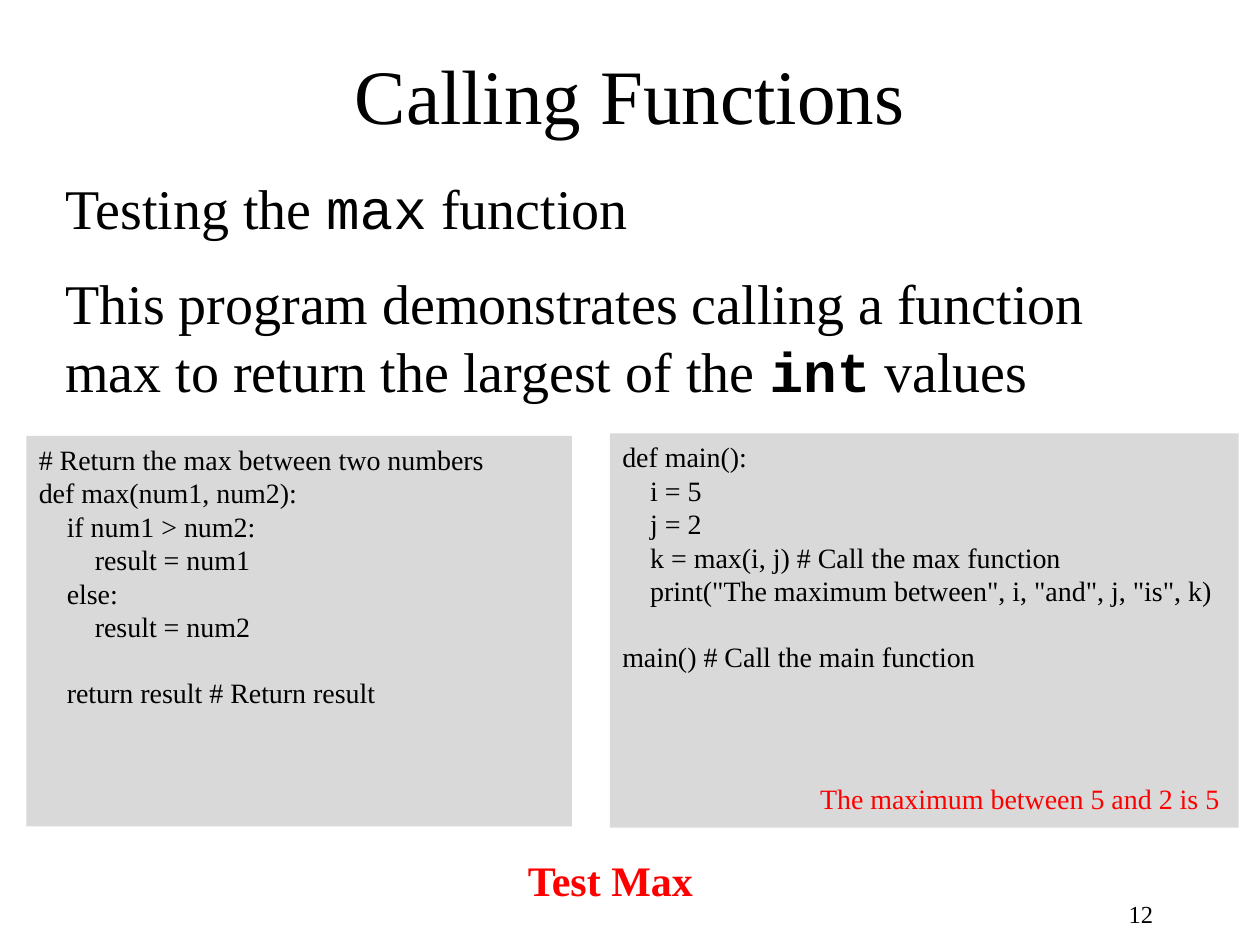
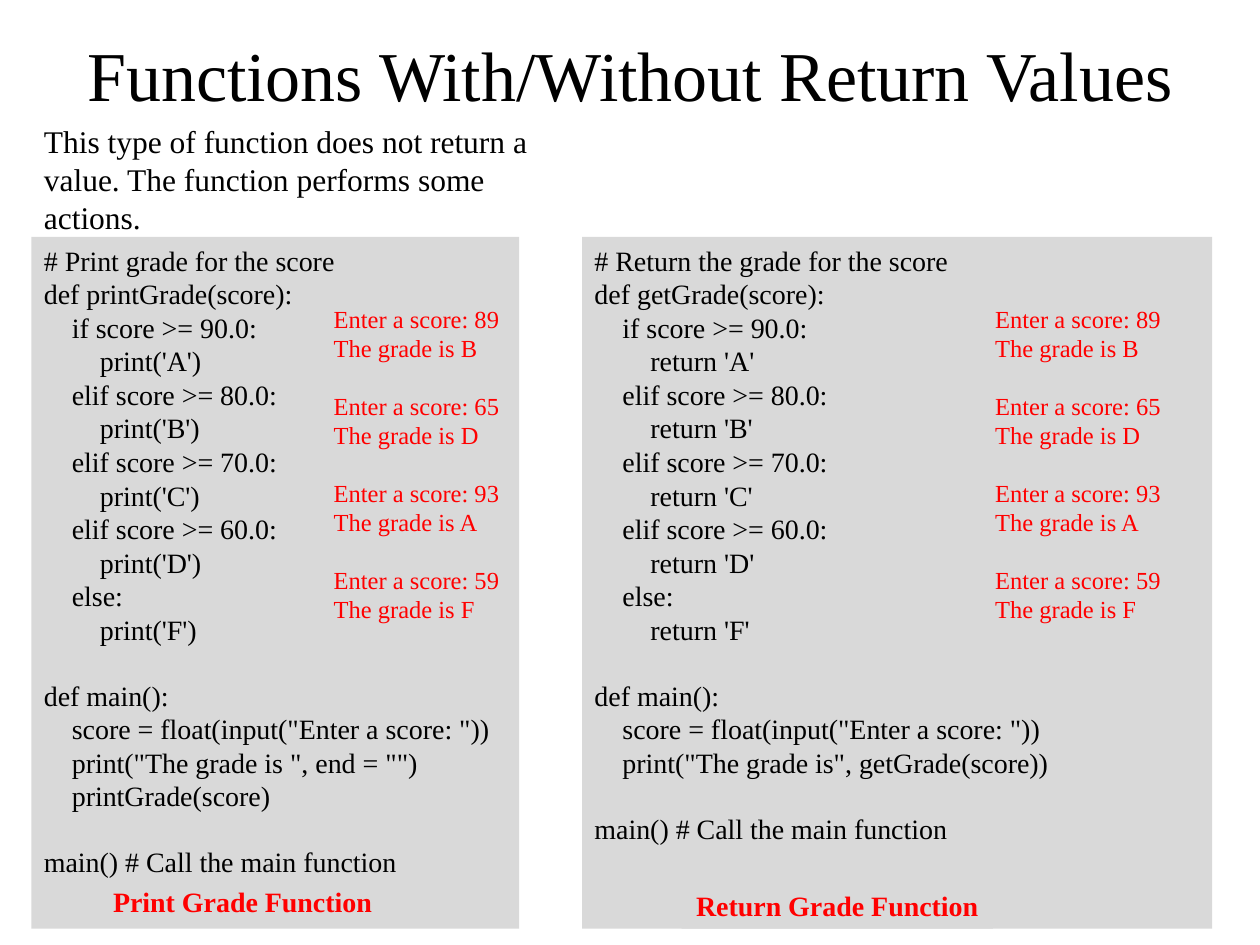
from pptx import Presentation
from pptx.dml.color import RGBColor
from pptx.enum import shapes, text
from pptx.util import Inches, Pt

FONT, MONO = "Times New Roman", "Courier New"
BLACK, RED, GREY = "000000", "FF0000", "D9D9D9"
LEFT, MID, RIGHT = text.PP_ALIGN.LEFT, text.PP_ALIGN.CENTER, text.PP_ALIGN.RIGHT
LINE = 1.15  # line height relative to the text size

MAX = """# Return the max between two numbers
def max(num1, num2):
    if num1 > num2:
        result = num1
    else:
        result = num2

    return result # Return result"""

TEST = """def main():
    i = 5
    j = 2
    k = max(i, j) # Call the max function
    print("The maximum between", i, "and", j, "is", k)

main() # Call the main function"""

# Both grade programs share this frame
GRADE = """# {about}
def {name}(score):
    if score >= 90.0:
        {A}
    elif score >= 80.0:
        {B}
    elif score >= 70.0:
        {C}
    elif score >= 60.0:
        {D}
    else:
        {F}

def main():
    score = float(input("Enter a score: "))
    {call}

main() # Call the main function"""

SCORES = [(89, "B"), (65, "D"), (93, "A"), (59, "F")]


def paint(color):
    return RGBColor.from_string(color)


def add_run(para, words, size, color=BLACK, font=FONT, bold=False):
    run = para.add_run()
    run.text = words
    run.font.name, run.font.size, run.font.bold = font, Pt(size), bold
    run.font.color.rgb = paint(color)


def add_box(slide, at, fill=None, wrap=True):
    """Add a text area, on a plain panel if a fill is given."""
    area = [Inches(n) for n in at]
    if fill:
        box = slide.shapes.add_shape(shapes.MSO_SHAPE.RECTANGLE, *area)
        box.shadow.inherit = False
        box.fill.solid()
        box.fill.fore_color.rgb = paint(fill)
        box.line.fill.background()
    else:
        box = slide.shapes.add_textbox(*area)
    frame = box.text_frame
    frame.word_wrap = wrap
    frame.vertical_anchor = text.MSO_ANCHOR.TOP
    return frame


def add_label(slide, at, words, size, color=BLACK, align=LEFT,
              bold=False, fill=None, wrap=False):
    frame = add_box(slide, at, fill, wrap)
    para = frame.paragraphs[0]
    para.alignment = align
    add_run(para, words, size, color, bold=bold)
    return frame


def add_title(slide, at, words, size):
    frame = add_label(slide, at, words, size, align=MID, wrap=True)
    frame.vertical_anchor = text.MSO_ANCHOR.MIDDLE


def add_lines(frame, lines, size, color=BLACK):
    """Set lines; leading spaces become indents, empty lines become gaps."""
    para, gap = frame.paragraphs[0], 0
    for num, line in enumerate(lines):
        if not line:
            gap = size * LINE
            continue
        if num:
            para = frame.add_paragraph()
        code = line.lstrip()
        para.alignment = LEFT
        para.space_before = Pt(gap)
        # A space is a quarter of the text size wide
        indent = Pt((len(line) - len(code)) * size / 4)
        para._p.get_or_add_pPr().set("marL", str(indent))
        add_run(para, code, size, color)
        gap = 0


def add_code(slide, at, code):
    add_lines(add_box(slide, at, GREY), code.split("\n"), 16)


def add_scores(slide, left, width):
    lines = []
    for score, grade in SCORES:
        lines += [f"Enter a score: {score}", f"The grade is {grade}", ""]
    add_lines(add_box(slide, (left, 2.36, width, 2.69)), lines, 14, RED)


def grade_code(about, name, form, call):
    marks = {mark: form.format(mark) for mark in "ABCDF"}
    return GRADE.format(about=about, name=name, call=call, **marks)


def add_intro(slide):
    frame = add_box(slide, (0.42, 1.33, 9.08, 1.97))
    para = frame.paragraphs[0]
    add_run(para, "Testing the ", 32)
    add_run(para, "max", 32, font=MONO)
    add_run(para, " function", 32)
    para = frame.add_paragraph()
    para.space_before = Pt(16)
    add_run(para, "This program demonstrates calling a function max "
            "to return the largest of the ", 32)
    add_run(para, "int", 32, font=MONO, bold=True)
    add_run(para, " values", 32)


def calling(slide):
    page = add_label(slide, (7.17, 7, 2.08, 0.5), "12", 14, align=RIGHT, wrap=True)
    page.vertical_anchor = text.MSO_ANCHOR.MIDDLE
    add_title(slide, (0.75, 0.33, 8.5, 0.83), "Calling Functions", 44)
    add_intro(slide)
    add_code(slide, (0.21, 3.46, 4.33, 3.1), MAX)
    add_code(slide, (4.84, 3.44, 4.99, 3.13), TEST)
    add_label(slide, (4.08, 6.73, 1.53, 0.5), "Test Max", 24, RED, MID, bold=True)
    add_label(slide, (6.41, 6.15, 3.42, 0.37),
              "The maximum between 5 and 2 is 5", 16, RED)


def grades(slide):
    add_title(slide, (0.21, 0.25, 9.58, 0.67),
              "Functions With/Without Return Values", 40)
    add_label(slide, (0.25, 0.92, 4.04, 1.04),
              "This type of function does not return a value. "
              "The function performs some actions.", 18, wrap=True)

    # Without a return value
    add_code(slide, (0.25, 1.88, 3.87, 5.49), grade_code(
        "Print grade for the score", "printGrade", "print('{}')",
        'print("The grade is ", end = "")\n    printGrade(score)'))
    add_label(slide, (0.78, 6.97, 2.29, 0.37), "Print Grade Function",
              16, RED, MID, bold=True)
    add_scores(slide, 2.55, 1.56)

    # With a return value
    add_code(slide, (4.62, 1.88, 5, 5.49), grade_code(
        "Return the grade for the score", "getGrade", "return '{}'",
        'print("The grade is", getGrade(score))'))
    add_label(slide, (5.41, 7, 2.47, 0.37), "Return Grade Function",
              16, RED, MID, bold=True, fill=GREY)
    add_scores(slide, 7.8, 1.72)


def main():
    deck = Presentation()
    deck.slide_width, deck.slide_height = Inches(10), Inches(7.5)
    for build in (calling, grades):
        build(deck.slides.add_slide(deck.slide_layouts[6]))
    deck.save("out.pptx")


if __name__ == "__main__":
    main()
